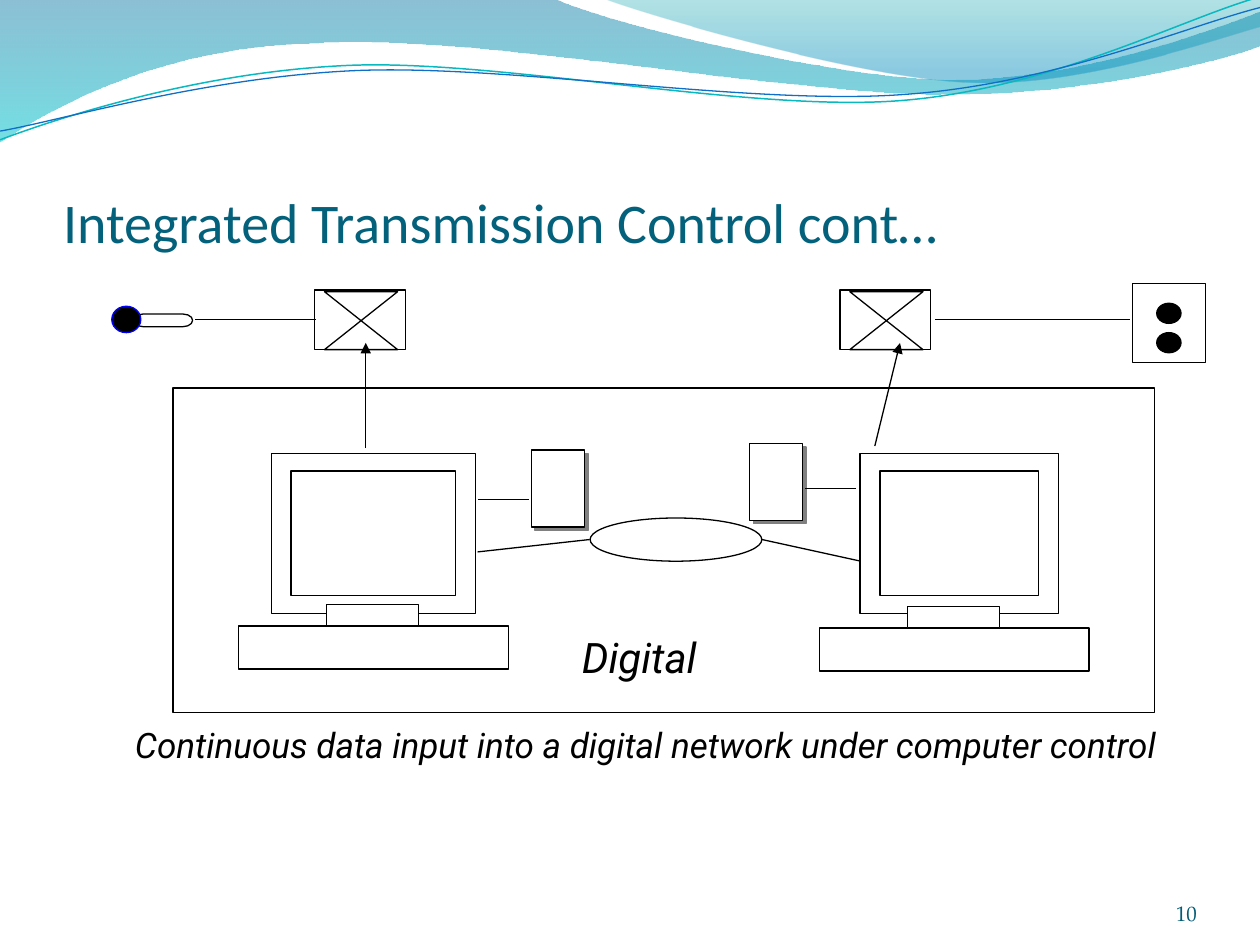
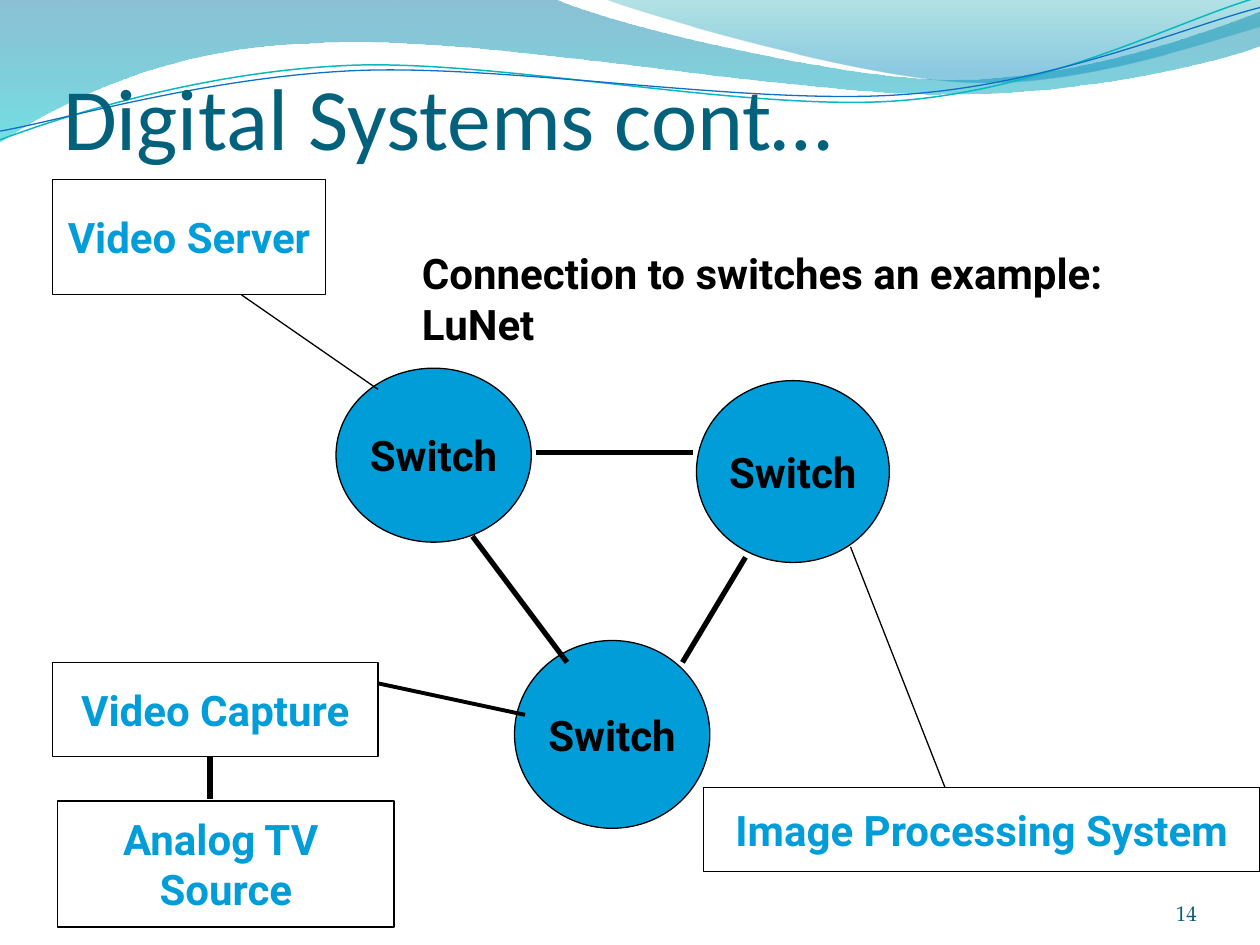
from lxml.etree import SubElement
from pptx import Presentation
from pptx.dml.color import RGBColor
from pptx.enum.shapes import MSO_CONNECTOR, MSO_SHAPE
from pptx.enum.text import MSO_ANCHOR, MSO_AUTO_SIZE, PP_ALIGN
from pptx.oxml import parse_xml
from pptx.oxml.ns import nsdecls, qn
from pptx.util import Pt

BLACK, WHITE, BLUE = "000000", "FFFFFF", "009DD9"
TITLE, PAGE = "04617B", "045D75"
SANS, SERIF, BODY = "Calibri", "TeX Gyre Pagella", "Roboto"
RECT, OVAL = MSO_SHAPE.RECTANGLE, MSO_SHAPE.OVAL
LEFT, MID, RIGHT = PP_ALIGN.LEFT, PP_ALIGN.CENTER, PP_ALIGN.RIGHT

BANDS = [
    ([(0, 0), (316.8, -0.7), (342.7, 12.2, 478.1, 45.4, 545.8, 45.4),
      (614.2, 45.4, 689.8, 18.7, 720, 6.5), (720.7, 25.9),
      (707.8, 31.7, 626.4, 54.7, 537.1, 54),
      (447.8, 54, 275, 20.2, 185, 24.5),
      (92.9, 25.9, 33.1, 59.8, -0.7, 81.4), (0, 0)],
     [(0, "0074A1", 45), (1, "00C6CF", 55)]),
    ([(344.9, -0.7), (366.5, 7.9, 491, 44.6, 553.7, 46.8),
      (616.3, 49.7, 691.9, 23, 720, 15.1), (720, 0), (344.9, -0.7)],
     [(0, "00A1A9", 30), (0.8, "008BBF", 45)]),
]
WAVES = [
    ([(0, 79.9), (34.6, 67, 113.8, 41, 199.4, 37.4),
      (284.4, 33.8, 427, 64.1, 513.4, 57.6),
      (599.8, 51.1, 675.4, 10.8, 718.6, -1.4)], "0AB8BF", 0.85),
    ([(0, 74.9), (33.8, 69.1, 118.1, 43.9, 203.8, 40.3),
      (290.2, 36.7, 429.8, 60.5, 516.2, 54),
      (601.9, 48.2, 677.5, 15.1, 720, 4.3)], "0F6FC6", 0.75),
]


def tint(code):
    return RGBColor.from_string(code)


def write(shape, text, size=24, font=BODY, ink=BLACK, bold=False, slant=False,
          align=LEFT, anchor=MSO_ANCHOR.TOP, wrap=True, inset=(7.2, 3.6, 7.2, 3.6)):
    frame = shape.text_frame
    frame.text = text
    frame.word_wrap = wrap
    frame.auto_size = MSO_AUTO_SIZE.NONE
    frame.vertical_anchor = anchor
    sides = [Pt(gap) for gap in inset]
    frame.margin_left, frame.margin_top, frame.margin_right, frame.margin_bottom = sides
    for line in frame.paragraphs:
        line.alignment = align
        for run in line.runs:
            run.font.size = Pt(size)
            run.font.name = font
            run.font.bold = bold
            run.font.italic = slant
            run.font.color.rgb = tint(ink)


def label(slide, box, text, **style):
    write(slide.shapes.add_textbox(*map(Pt, box)), text, **style)


def shape(slide, box, kind=RECT, fill=None, edge=BLACK):
    item = slide.shapes.add_shape(kind, *map(Pt, box))
    item.shadow.inherit = False
    if fill:
        item.fill.solid()
        item.fill.fore_color.rgb = tint(fill)
    else:
        item.fill.background()
    item.line.color.rgb = tint(edge)
    item.line.width = Pt(0.75)
    return item


def link(slide, start, end, width=0.75, arrow=False):
    item = slide.shapes.add_connector(MSO_CONNECTOR.STRAIGHT, *map(Pt, start + end))
    item.line.color.rgb = tint(BLACK)
    item.line.width = Pt(width)
    props = item.element.spPr
    if arrow:
        SubElement(props.find(qn("a:ln")), qn("a:tailEnd"), type="triangle")
    SubElement(props, qn("a:effectLst"))


def curve(slide, steps, close):
    dots = [(Pt(step[i]), Pt(step[i + 1]))
            for step in steps for i in range(0, len(step), 2)]
    pen = slide.shapes.build_freeform(*dots[0])
    pen.add_line_segments(dots[1:], close=close)
    item = pen.convert_to_shape()
    item.shadow.inherit = False
    lines = iter(list(item.element.spPr.iter(qn("a:lnTo"))))
    for step in steps[1:]:
        parts = [next(lines) for _ in range(len(step) // 2)]
        if len(parts) == 3:
            bend = parse_xml(f"<a:cubicBezTo {nsdecls('a')}/>")
            parts[0].addprevious(bend)
            for part in parts:
                bend.append(part[0])
                part.getparent().remove(part)
    return item


def band(slide, steps, stops):
    item = curve(slide, steps, True)
    item.line.fill.background()
    item.fill.gradient()
    item.fill.gradient_angle = 270
    for stop, (place, code, _) in zip(item.fill.gradient_stops, stops):
        stop.position = place
        stop.color.rgb = tint(code)
    hues = item.element.spPr.iter(qn("a:srgbClr"))
    for hue, (_, _, alpha) in zip(list(hues), stops):
        SubElement(hue, qn("a:alpha"), val=str(alpha * 1000))
    return item


def wave(slide, steps, code, width):
    item = curve(slide, steps, False)
    item.fill.background()
    item.line.color.rgb = tint(code)
    item.line.width = Pt(width)
    return item


def adorn(slide):
    items = [band(slide, *spec) for spec in BANDS]
    items += [wave(slide, *spec) for spec in WAVES]
    tree = slide.slide_layout.shapes.element
    for spot, item in enumerate(items, 2):
        tree.insert(spot, item.element)


def start(deck, text, size, top, height, page):
    slide = deck.slides.add_slide(deck.slide_layouts[5])
    title = slide.shapes.title
    title.left, title.top = Pt(36), Pt(top)
    title.width, title.height = Pt(648), Pt(height)
    write(title, text, size=size, font=SANS, ink=TITLE,
          anchor=MSO_ANCHOR.BOTTOM, inset=(0, 3.6, 0, 0))
    label(slide, (624.2, 500.4, 59.8, 28.8), page, size=12, font=SERIF, ink=PAGE,
          align=RIGHT, anchor=MSO_ANCHOR.BOTTOM, inset=(0, 0, 0, 0))
    return slide


def host(slide, left, width, foot, base):
    shape(slide, (left + 11.3, 269.2, width - 22.6, 71.3), fill=WHITE)
    shape(slide, (left, 259, width, 91.6))
    shape(slide, (foot, base, 154.2, 24.6), fill=WHITE)
    shape(slide, (foot + 50.4, base - 12.2, 52.6, 12.2), fill=WHITE)


def coder(slide, left):
    shape(slide, (left + 5.6, 166.7, 41.8, 33.1), MSO_SHAPE.FLOWCHART_COLLATE, WHITE)
    shape(slide, (left, 165.7, 51.8, 33.9))


def drive(slide, left, top):
    item = shape(slide, (left, top, 30.2, 43.9), fill=WHITE)
    glow = item.element.spPr.find(qn("a:effectLst"))
    shade = SubElement(glow, qn("a:outerShdw"), blurRad="0", dist=str(Pt(2.8)),
                       dir="2700000", algn="ctr", rotWithShape="0")
    SubElement(shade, qn("a:srgbClr"), val="808080")


def mouth(slide):
    shape(slide, (76.3, 179.5, 33.8, 7.2), MSO_SHAPE.FLOWCHART_TERMINATOR, WHITE)
    shape(slide, (63.9, 175, 16.6, 15.1), OVAL, BLACK, "0000FF")


def speaker(slide):
    shape(slide, (647.1, 162, 41.8, 45.2), fill=WHITE)
    for top in (173.3, 190.1):
        shape(slide, (661, top, 13.9, 11.5), OVAL, BLACK)


def control(slide):
    label(slide, (48, 409.7, 642.2, 40.3),
          "Continuous data input into a digital network under computer control",
          size=20, slant=True, align=MID)
    host(slide, 155, 116.6, 136.3, 357.8)
    host(slide, 491.5, 113.2, 468.2, 358.8)
    shape(slide, (337.2, 296, 98.1, 24.7), OVAL, WHITE)
    shape(slide, (98.8, 221.7, 560.9, 185.6))
    coder(slide, 179.8)
    coder(slide, 480)
    mouth(slide)
    speaker(slide)
    label(slide, (325.4, 357.1, 87.1, 43.9), "Digital", slant=True)
    drive(slide, 428.4, 253.4)
    drive(slide, 303.8, 257.2)
    for ends in [((272.9, 315.4), (337, 308.3)), ((435.4, 308.3), (491.5, 320.6)),
                 ((111.6, 182.7), (180.7, 182.7)), ((534.4, 182.7), (645.8, 182.7)),
                 ((273.4, 285.3), (302.4, 285.3)), ((460.1, 279.1), (488.9, 279.1))]:
        link(slide, *ends)
    link(slide, (209, 256.1), (209, 196), arrow=True)
    link(slide, (499.9, 254.9), (514.3, 196), arrow=True)


def node(slide, box, text, kind=RECT, fill=None, ink=BLUE):
    write(shape(slide, box, kind, fill), text, ink=ink, bold=True,
          align=MID, anchor=MSO_ANCHOR.MIDDLE, wrap=False)


def network(slide):
    for box in [(192, 210.4, 111.6, 99.4), (398, 217.5, 110.2, 103.9),
                (294, 366, 111.6, 107.3)]:
        node(slide, box, "Switch", OVAL, BLUE, BLACK)
    for box, text in [((402, 450, 318, 48), "Image Processing System"),
                      ((30, 102.5, 156, 66), "Video Server"),
                      ((33, 457.7, 192.2, 72), "Analog TV \nSource"),
                      ((30, 378.5, 186, 54), "Video Capture")]:
        node(slide, box, text)
    for first, last, width in [((270, 306.5), (324, 378.5), 3),
                               ((306, 258.5), (396, 258.5), 3),
                               ((426, 318.5), (390, 378.5), 3),
                               ((486, 312.5), (540, 450), 0.75),
                               ((138, 168.5), (216, 222.5), 0.75),
                               ((120, 456.5), (120, 432.5), 3),
                               ((216, 390.5), (300, 408.5), 2.25)]:
        link(slide, first, last, width)
    label(slide, (234, 138.2, 457.2, 64.8),
          "Connection to switches an example:\nLuNet", bold=True)


def main():
    deck = Presentation()
    deck.slide_width, deck.slide_height = Pt(720), Pt(540)
    slide = start(deck, "Integrated Transmission Control cont…", 32, 55.4, 90, "10")
    adorn(slide)
    control(slide)
    network(start(deck, "Digital Systems cont…", 50, 23.8, 72, "14"))
    deck.save("out.pptx")


if __name__ == "__main__":
    main()
